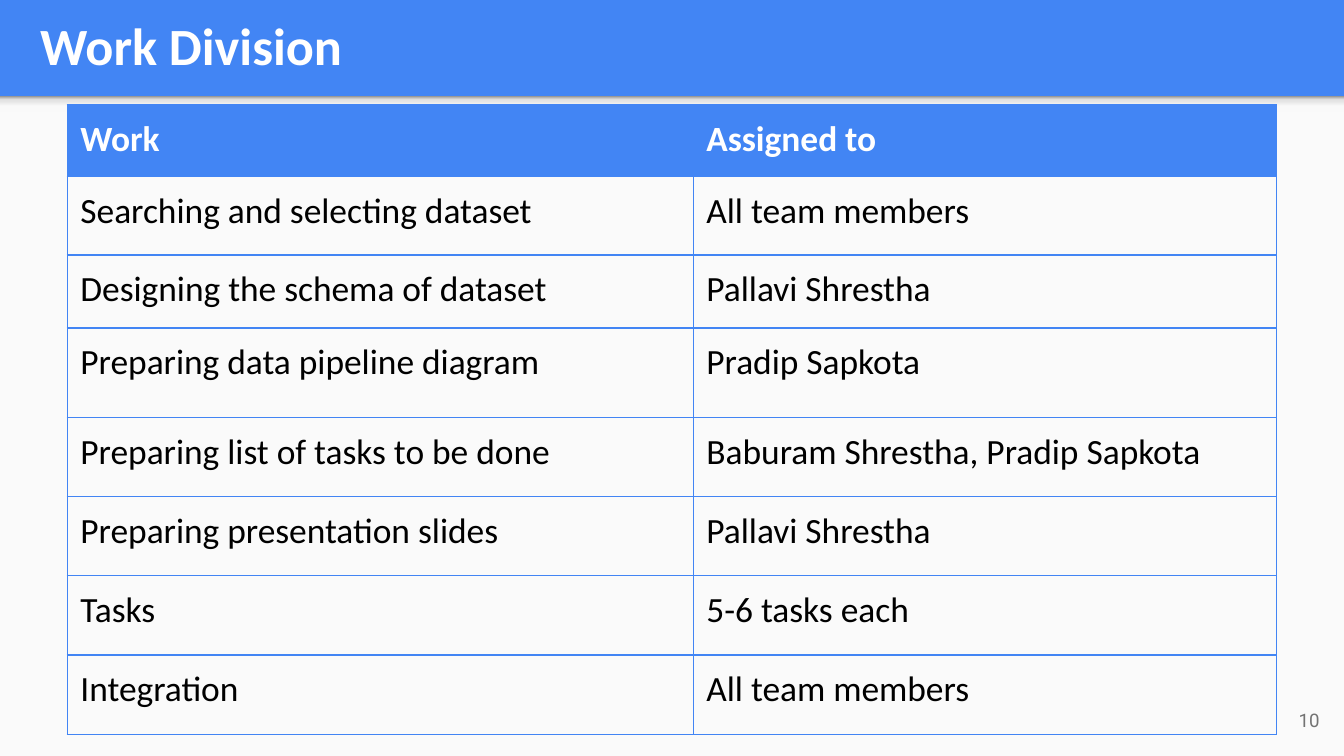
from dataclasses import dataclass

from lxml import etree
from pptx import Presentation
from pptx import util as u
from pptx.dml.color import RGBColor
from pptx.enum import shapes, text
from pptx.oxml.ns import qn


@dataclass(frozen=True)
class Theme:
    blue: str = "4285F4"
    paper: str = "FAFAFA"
    white: str = "FFFFFF"
    black: str = "000000"
    grey: str = "737373"
    shade: tuple = ((0, "F9F9F9"), (36, "F9F9F9"), (80, "DEDEDE"), (100, "999999"))
    font: str = "Calibri"
    number_font: str = "Roboto"
    title_size: float = 28
    table_size: float = 19
    number_size: float = 10
    border: float = 0.75
    inset: float = 0.25


@dataclass(frozen=True)
class Box:
    left: float
    top: float
    width: float
    height: float

    def lengths(self) -> tuple:
        return tuple(u.Cm(v) for v in (self.left, self.top, self.width, self.height))


@dataclass(frozen=True)
class Row:
    work: str
    assigned: str
    height: float


T = Theme()
PAGE_W, PAGE_H, BAR_H = 25.4, 14.29, 1.82
COLUMNS = (11.83, 11.03)
ROWS = (
    Row("Work", "Assigned to", 1.36),
    Row("Searching and selecting dataset", "All team members", 1.48),
    Row("Designing the schema of dataset", "Pallavi Shrestha", 1.38),
    Row("Preparing data pipeline diagram", "Pradip Sapkota", 1.7),
    Row("Preparing list of tasks to be done", "Baburam Shrestha, Pradip Sapkota", 1.48),
    Row("Preparing presentation slides", "Pallavi Shrestha", 1.5),
    Row("Tasks", "5-6 tasks each", 1.5),
    Row("Integration", "All team members", 1.5),
)


def rgb(color: str) -> RGBColor:
    return RGBColor.from_string(color)


def write(tf, words: str, *, size: float, color: str, font: str = T.font,
          bold: bool = False, align=text.PP_ALIGN.LEFT) -> None:
    p = tf.paragraphs[0]
    p.alignment = align
    r = p.add_run()
    r.text = words
    r.font.name, r.font.size, r.font.bold = font, u.Pt(size), bold
    r.font.color.rgb = rgb(color)


def set_frame(tf, anchor) -> None:
    tf.word_wrap = True
    tf.auto_size = text.MSO_AUTO_SIZE.NONE
    tf.vertical_anchor = anchor
    tf.margin_left = tf.margin_right = tf.margin_top = tf.margin_bottom = u.Cm(T.inset)


def add_panel(s, box: Box):
    sp = s.shapes.add_shape(shapes.MSO_SHAPE.RECTANGLE, *box.lengths())
    sp.shadow.inherit = False
    sp.line.fill.background()
    sp.fill.solid()
    sp.fill.fore_color.rgb = rgb(T.paper)
    return sp


def shade_upwards(sp, stops: tuple) -> None:
    """Replace the solid fill by a gradient that runs from bottom to top."""
    solid = sp._element.spPr.find(qn("a:solidFill"))
    grad = etree.Element(qn("a:gradFill"), rotWithShape="1")
    stop_list = etree.SubElement(grad, qn("a:gsLst"))
    for percent, color in stops:
        stop = etree.SubElement(stop_list, qn("a:gs"), pos=str(percent * 1000))
        etree.SubElement(stop, qn("a:srgbClr"), val=color)
    etree.SubElement(grad, qn("a:lin"), ang="16200000", scaled="0")
    solid.getparent().replace(solid, grad)


def set_borders(cell, color: str, width: float) -> None:
    tc_pr = cell._tc.get_or_add_tcPr()
    for side in ("lnL", "lnR", "lnT", "lnB"):
        ln = etree.SubElement(tc_pr, qn(f"a:{side}"), w=str(u.Pt(width)))
        fill = etree.SubElement(ln, qn("a:solidFill"))
        etree.SubElement(fill, qn("a:srgbClr"), val=color)


def add_work_table(s, left: float, top: float) -> None:
    box = Box(left, top, sum(COLUMNS), sum(row.height for row in ROWS))
    table = s.shapes.add_table(len(ROWS), len(COLUMNS), *box.lengths()).table
    for column, width in zip(table.columns, COLUMNS):
        column.width = u.Cm(width)
    for i, row in enumerate(ROWS):
        header = i == 0
        table.rows[i].height = u.Cm(row.height)
        for j, words in enumerate((row.work, row.assigned)):
            cell = table.cell(i, j)
            set_borders(cell, T.blue, T.border)
            cell.margin_left = cell.margin_right = u.Cm(T.inset)
            cell.margin_top = cell.margin_bottom = u.Cm(T.inset)
            if header:
                cell.fill.solid()
                cell.fill.fore_color.rgb = rgb(T.blue)
            else:
                cell.fill.background()
            write(cell.text_frame, words, size=T.table_size, bold=header,
                  color=T.white if header else T.black)


def place_title(s, words: str, box: Box) -> None:
    sp = s.shapes.title
    sp.left, sp.top, sp.width, sp.height = box.lengths()
    set_frame(sp.text_frame, text.MSO_ANCHOR.TOP)
    write(sp.text_frame, words, size=T.title_size, color=T.white, bold=True)


def add_page_number(s, number: str, box: Box) -> None:
    tf = s.shapes.add_textbox(*box.lengths()).text_frame
    set_frame(tf, text.MSO_ANCHOR.MIDDLE)
    write(tf, number, size=T.number_size, color=T.grey, font=T.number_font,
          align=text.PP_ALIGN.RIGHT)


def main() -> None:
    prs = Presentation()
    prs.slide_width, prs.slide_height = u.Cm(PAGE_W), u.Cm(PAGE_H)
    s = prs.slides.add_slide(prs.slide_layouts[5])
    s.background.fill.solid()
    s.background.fill.fore_color.rgb = rgb(T.blue)

    add_panel(s, Box(0, BAR_H, PAGE_W, PAGE_H - BAR_H))
    shade_upwards(add_panel(s, Box(0, BAR_H, PAGE_W, 0.3)), T.shade)
    add_work_table(s, 1.27, 1.98)
    place_title(s, "Work Division", Box(0.51, 0, 7.54, 1.7))
    add_page_number(s, "10", Box(23.67, 13.06, 1.52, 1.09))
    prs.save("out.pptx")


if __name__ == "__main__":
    main()
